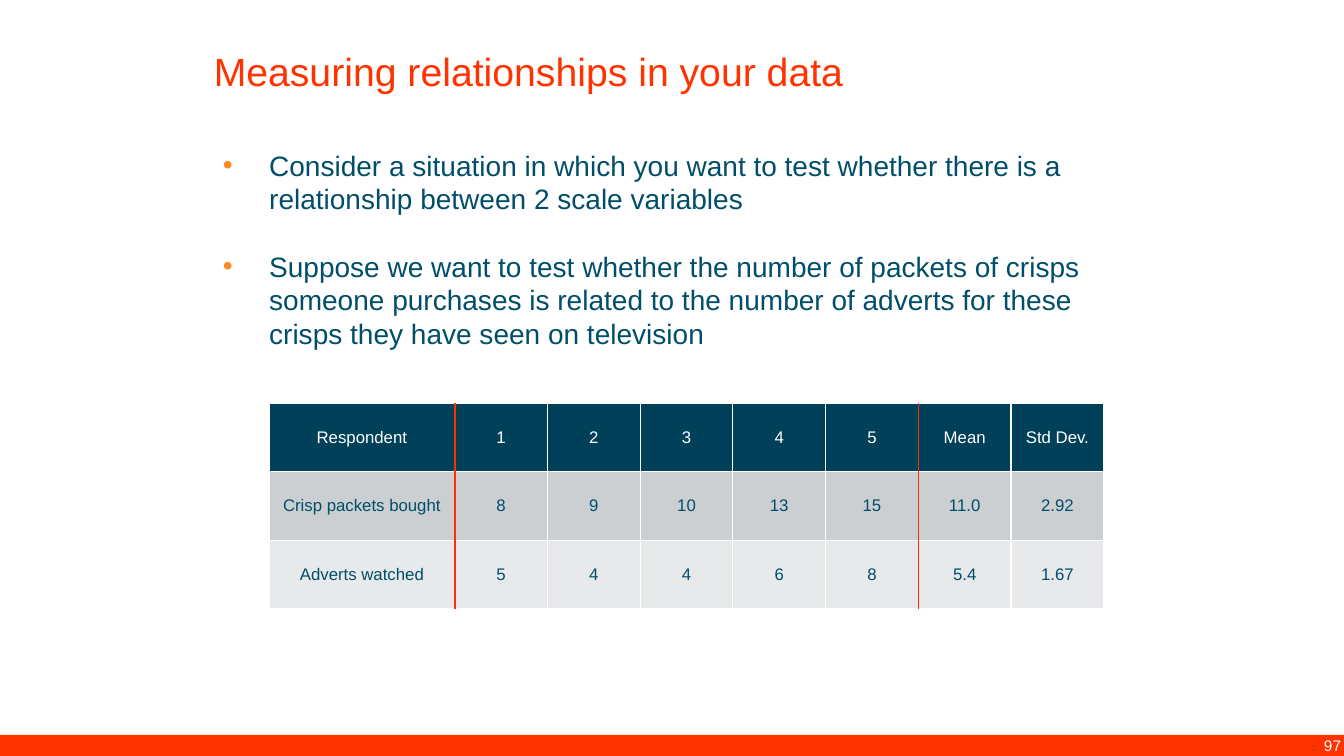
from lxml import etree
from pptx import Presentation
from pptx.dml.color import RGBColor
from pptx.enum import shapes, text
from pptx.oxml.ns import qn
from pptx.util import Inches, Pt

TITLE = "Measuring relationships in your data"
POINTS = [
    "Consider a situation in which you want to test whether there is a "
    "relationship between 2 scale variables",
    "Suppose we want to test whether the number of packets of crisps someone "
    "purchases is related to the number of adverts for these crisps they have "
    "seen on television",
]
ROWS = [
    ("Respondent", "1", "2", "3", "4", "5", "Mean", "Std Dev."),
    ("Crisp packets bought", "8", "9", "10", "13", "15", "11.0", "2.92"),
    ("Adverts watched", "5", "4", "4", "6", "8", "5.4", "1.67"),
]
PAGE = "97"

FONT = "Arial"
WHITE = RGBColor(0xFF, 0xFF, 0xFF)
RED = RGBColor(0xFF, 0x33, 0x00)
RULE = RGBColor(0xF9, 0x32, 0x00)
TEAL = RGBColor(0x00, 0x4E, 0x69)
NAVY = RGBColor(0x00, 0x41, 0x59)
GREY = RGBColor(0xCC, 0xCF, 0xD1)
PALE = RGBColor(0xE7, 0xE9, 0xEA)
ORANGE = RGBColor(0xFF, 0x89, 0x23)
STYLES = [(NAVY, WHITE), (GREY, TEAL), (PALE, TEAL)]  # fill and text, by row

LEFT, TOP = 2.67, 4
COL, ROW = 0.92, 0.68
SPANS = [2] + [1] * 7  # column widths, in units of COL
RULED = (1, 6)  # columns with a red rule on their left


def place(shape, left, top, width, height):
    shape.left, shape.top = Inches(left), Inches(top)
    shape.width, shape.height = Inches(width), Inches(height)


def style(par, size, color, align):
    par.alignment = align
    for run in par.runs:
        run.font.name, run.font.size = FONT, Pt(size)
        run.font.color.rgb = color


def clear(frame):
    """Drop the insets and start the text at the top."""
    frame.margin_left = frame.margin_right = 0
    frame.margin_top = frame.margin_bottom = 0
    frame.vertical_anchor = text.MSO_ANCHOR.TOP
    frame.auto_size = text.MSO_AUTO_SIZE.NONE
    frame.word_wrap = True


def bullet(par):
    props = par._p.get_or_add_pPr()
    props.set("marL", str(Inches(0.46)))
    props.set("indent", str(Inches(-0.46)))
    color = etree.SubElement(props, qn("a:buClr"))
    etree.SubElement(color, qn("a:srgbClr"), val=str(ORANGE))
    etree.SubElement(props, qn("a:buFont"), typeface=FONT)
    etree.SubElement(props, qn("a:buChar"), char="•")


def border(cell):
    props = cell._tc.get_or_add_tcPr()
    for side in ("lnL", "lnR", "lnT", "lnB"):
        line = etree.SubElement(props, qn("a:" + side), w=str(Pt(1)))
        fill = etree.SubElement(line, qn("a:solidFill"))
        etree.SubElement(fill, qn("a:srgbClr"), val=str(WHITE))


def add_title(slide):
    title = slide.shapes.title
    place(title, 2.12, 0.47, 7.72, 0.69)
    frame = title.text_frame
    frame.text = TITLE
    clear(frame)
    style(frame.paragraphs[0], 28, RED, text.PP_ALIGN.LEFT)


def add_points(slide):
    body = slide.placeholders[1]
    place(body, 2.21, 1.14, 8.92, 2.83)
    frame = body.text_frame
    frame.text = "\n".join(POINTS)
    clear(frame)
    frame.margin_top = Inches(0.33)
    for i, par in enumerate(frame.paragraphs):
        bullet(par)
        par.line_spacing = Pt(24)
        par.space_before = Pt(24 if i else 0)
        style(par, 20, TEAL, text.PP_ALIGN.LEFT)


def add_grid(slide):
    table = slide.shapes.add_table(
        len(ROWS), len(SPANS), Inches(LEFT), Inches(TOP),
        Inches(COL * sum(SPANS)), Inches(ROW * len(ROWS))).table
    for col, span in zip(table.columns, SPANS):
        col.width = Inches(COL * span)
    for row, words, (fill, ink) in zip(table.rows, ROWS, STYLES):
        row.height = Inches(ROW)
        for cell, word in zip(row.cells, words):
            cell.text = word
            cell.vertical_anchor = text.MSO_ANCHOR.MIDDLE
            border(cell)
            cell.fill.solid()
            cell.fill.fore_color.rgb = fill
            style(cell.text_frame.paragraphs[0], 12, ink, text.PP_ALIGN.CENTER)


def add_rules(slide):
    for col in RULED:
        x = Inches(LEFT + COL * sum(SPANS[:col]))
        line = slide.shapes.add_connector(
            shapes.MSO_CONNECTOR.STRAIGHT, x, Inches(TOP),
            x, Inches(TOP + ROW * len(ROWS)))
        line.line.color.rgb = RULE
        line.line.width = Pt(1.25)
        etree.SubElement(line._element.spPr, qn("a:effectLst"))


def add_footer(slide):
    bar = slide.shapes.add_shape(
        shapes.MSO_SHAPE.RECTANGLE, 0, Inches(7.29), Inches(13.33), Inches(0.21))
    bar.shadow.inherit = False
    bar.fill.solid()
    bar.fill.fore_color.rgb = RED
    bar.line.fill.background()
    box = slide.shapes.add_textbox(
        Inches(12.06), Inches(7.25), Inches(1.34), Inches(0.4))
    box.text_frame.word_wrap = True
    box.text_frame.text = PAGE
    style(box.text_frame.paragraphs[0], 11, WHITE, text.PP_ALIGN.RIGHT)


def main():
    deck = Presentation()
    deck.slide_width, deck.slide_height = Inches(13.33), Inches(7.5)
    slide = deck.slides.add_slide(deck.slide_layouts[1])
    add_footer(slide)
    add_points(slide)
    add_title(slide)
    add_grid(slide)
    add_rules(slide)
    deck.save("out.pptx")


if __name__ == "__main__":
    main()
